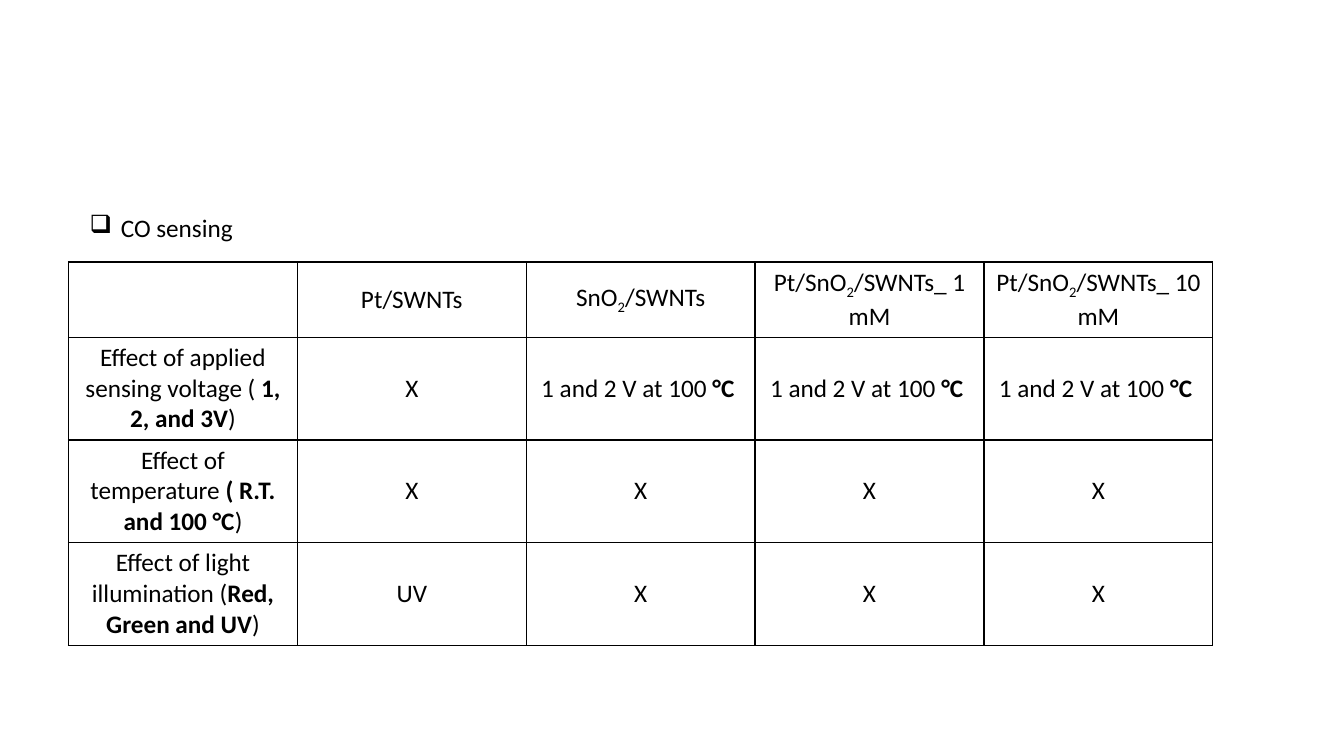
import pptx
import pptx.util
import pptx.dml.color
import pptx.enum.text
import pptx.oxml
import pptx.oxml.ns
from dataclasses import dataclass

BOLD, SUB = "bold", "sub"
HEADING = "CO sensing"
VOLTAGE = ["1 and 2 V at 100 ", ("°C ", BOLD)]
ROWS = [
    [[],
     ["Pt/SWNTs"],
     ["SnO", ("2", SUB), "/SWNTs"],
     ["Pt/SnO", ("2", SUB), "/SWNTs_ 1 mM"],
     ["Pt/SnO", ("2", SUB), "/SWNTs_ 10 mM"]],
    [["Effect of applied sensing voltage ( ", ("1, 2, and 3V", BOLD), ")"],
     ["X"], VOLTAGE, VOLTAGE, VOLTAGE],
    [["Effect of temperature ", ("( R.T. and 100 °C", BOLD), ")"],
     ["X"], ["X"], ["X"], ["X"]],
    [["Effect of light illumination (", ("Red, Green and UV", BOLD), ")"],
     ["UV"], ["X"], ["X"], ["X"]],
]


@dataclass(frozen=True)
class Theme:
    font: str = "Calibri"
    size: int = 18
    ink: str = "000000"
    border: int = 1


THEME = Theme()
INCH = pptx.util.Inches
WIDTH, HEIGHT = INCH(13.33), INCH(7.5)
TABLE_LEFT, TABLE_TOP = INCH(0.68), INCH(2.6)
COLUMN = INCH(2.27)
ROW_HEIGHTS = [INCH(0.74)] + [INCH(1.02)] * (len(ROWS) - 1)


def format_font(font, bold=False):
    font.name = THEME.font
    font.size = pptx.util.Pt(THEME.size)
    font.bold = bold
    font.color.rgb = pptx.dml.color.RGBColor.from_string(THEME.ink)


def write(para, pieces, align=pptx.enum.text.PP_ALIGN.LEFT):
    """Fill a paragraph with plain strings and (text, style) pairs."""
    para.alignment = align
    format_font(para.font)
    for piece in pieces:
        text, style = (piece, None) if isinstance(piece, str) else piece
        span = para.add_run()
        span.text = text
        format_font(span.font, bold=style == BOLD)
        if style == SUB:
            span.font._element.set("baseline", "-25000")


def add_borders(cell):
    properties = cell._tc.get_or_add_tcPr()
    for side in ("lnL", "lnR", "lnT", "lnB"):
        properties.append(pptx.oxml.parse_xml(
            f'<a:{side} {pptx.oxml.ns.nsdecls("a")} w="{pptx.util.Pt(THEME.border)}">'
            f'<a:solidFill><a:srgbClr val="{THEME.ink}"/></a:solidFill></a:{side}>'))


def add_heading(page):
    box = page.shapes.add_textbox(INCH(0.79), INCH(2.06), INCH(1.64), INCH(0.4))
    box.text_frame.word_wrap = False
    box.text_frame.auto_size = pptx.enum.text.MSO_AUTO_SIZE.SHAPE_TO_FIT_TEXT
    para = box.text_frame.paragraphs[0]
    properties = para._p.get_or_add_pPr()
    indent = INCH(0.31)
    properties.set("marL", str(indent))
    properties.set("indent", str(-indent))
    properties.append(pptx.oxml.parse_xml(
        f'<a:buChar {pptx.oxml.ns.nsdecls("a")} char="❑"/>'))
    write(para, [HEADING])


def add_results(page):
    columns = len(ROWS[0])
    table = page.shapes.add_table(len(ROWS), columns, TABLE_LEFT, TABLE_TOP,
                                  COLUMN * columns, sum(ROW_HEIGHTS)).table
    table.first_row = table.horz_banding = False
    for column in table.columns:
        column.width = COLUMN
    for row, height, contents in zip(table.rows, ROW_HEIGHTS, ROWS):
        row.height = height
        for cell, pieces in zip(row.cells, contents):
            add_borders(cell)
            cell.fill.background()
            cell.vertical_anchor = pptx.enum.text.MSO_ANCHOR.MIDDLE
            write(cell.text_frame.paragraphs[0], pieces,
                  align=pptx.enum.text.PP_ALIGN.CENTER)


def main():
    deck = pptx.Presentation()
    deck.slide_width, deck.slide_height = WIDTH, HEIGHT
    page = deck.slides.add_slide(deck.slide_layouts[6])
    add_results(page)
    add_heading(page)
    deck.save("out.pptx")


if __name__ == "__main__":
    main()
